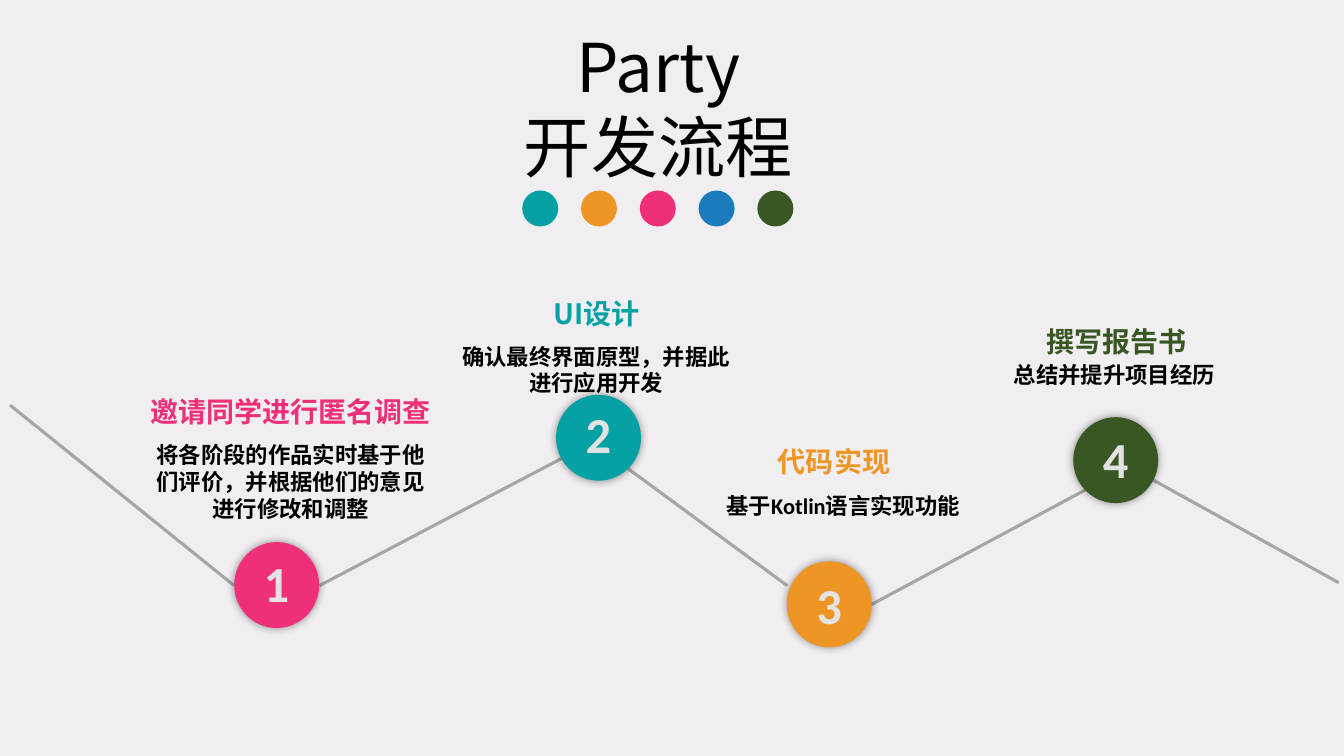
from lxml import etree
from pptx import Presentation
from pptx.dml.color import RGBColor
from pptx.enum import shapes as kinds, text as texts
from pptx.oxml import ns
from pptx.util import Pt

TEAL = RGBColor(0x03, 0xA1, 0xA4)
ORANGE = RGBColor(0xEE, 0x95, 0x24)
PINK = RGBColor(0xEF, 0x30, 0x78)
BLUE = RGBColor(0x1C, 0x7C, 0xBB)
GREEN = RGBColor(0x38, 0x57, 0x23)
GREY = RGBColor(0xA6, 0xA6, 0xA6)
PALE = RGBColor(0xE3, 0xE3, 0xE3)
BLACK = RGBColor(0, 0, 0)
PAPER = RGBColor(0xF0, 0xEE, 0xF0)
HAN, LATIN = "Noto Sans CJK SC", "Calibri"

TITLE = ["Party", "开发流程"]
DOTS = [TEAL, ORANGE, PINK, BLUE, GREEN]
# colour, circle (left, top), number top,
# heading, its (left, top), body, its (left, top), body height, body font
STEPS = [
    (PINK, (167.3, 387.2), 391,
     "邀请同学进行匿名调查", (98.6, 278.6),
     "将各阶段的作品实时基于他们评价，并根据他们的意见进行修改和调整",
     (98.6, 311.8), 46, HAN),
    (TEAL, (397.2, 282), 284.4,
     "UI设计", (316.8, 208.1),
     "确认最终界面原型，并据此进行应用开发", (316.8, 241.2), 46, HAN),
    (ORANGE, (562, 401), 406.8,
     "代码实现", (486.7, 313.9),
     "基于Kotlin语言实现功能", (493.2, 347.8), 26.6, LATIN),
    (GREEN, (766.6, 298), 302.4,
     "撰写报告书", (688.3, 228.2),
     "总结并提升项目经历", (686.9, 254.2), 26.6, LATIN),
]
PATHS = [
    (167.3, 418.3, 7.2, 289.4),
    (622.1, 432, 775.4, 349.9),
    (956.2, 416.2, 814.3, 337.7),
    (562.3, 418.3, 437, 326.2),
    (228.2, 418.3, 414.7, 320.4),
]
DISC = (60.7, 61.4)
DOT, PITCH = 25.7, 42
WIDE = 218.2


def effects(blur=0):
    """Effect list, with a centred soft shadow if blur is given."""
    node = etree.Element(ns.qn("a:effectLst"))
    if blur:
        soft = etree.SubElement(node, ns.qn("a:outerShdw"),
                                blurRad=str(Pt(blur)), dist="0", dir="0",
                                algn="ctr", rotWithShape="0")
        tone = etree.SubElement(soft, ns.qn("a:srgbClr"), val="000000")
        etree.SubElement(tone, ns.qn("a:alpha"), val="40000")
    return node


def write(home, box, lines, size, font, color, bold=True, blur=0, space=None):
    area = home.add_textbox(*map(Pt, box))
    frame = area.text_frame
    frame.word_wrap = True
    frame.auto_size = texts.MSO_AUTO_SIZE.SHAPE_TO_FIT_TEXT
    for i, line in enumerate(lines):
        para = frame.add_paragraph() if i else frame.paragraphs[0]
        para.alignment = texts.PP_ALIGN.CENTER
        if space:
            para.line_spacing = space
        run = para.add_run()
        run.text = line
        run.font.size, run.font.bold = Pt(size), bold
        run.font.color.rgb = color
        run.font.name = font
        props = run.font._element
        latin = props.find(ns.qn("a:latin"))
        latin.addnext(etree.Element(ns.qn("a:ea"), typeface=LATIN))
        if blur:
            latin.addprevious(effects(blur))


def disc(home, box, color, blur=0):
    oval = home.add_shape(kinds.MSO_SHAPE.OVAL, *map(Pt, box))
    oval.shadow.inherit = False
    oval.fill.solid()
    oval.fill.fore_color.rgb = color
    oval.line.fill.background()
    if blur:
        props = oval._element.spPr
        props.replace(props.find(ns.qn("a:effectLst")), effects(blur))


deck = Presentation()
deck.slide_width, deck.slide_height = Pt(960), Pt(540)
slide = deck.slides.add_slide(deck.slide_layouts[6])
slide.background.fill.solid()
slide.background.fill.fore_color.rgb = PAPER
items = slide.shapes

for ends in PATHS:
    line = items.add_connector(kinds.MSO_CONNECTOR.STRAIGHT, *map(Pt, ends))
    line.line.color.rgb = GREY
    line.line.width = Pt(2.25)
    line._element.spPr.append(effects())

write(items, (150.5, 14.4, 639.4, 123.8), TITLE, 48, HAN, BLACK, bold=False)
row = items.add_group_shape().shapes
for i, color in enumerate(DOTS):
    disc(row, (373 + i * PITCH, 136.1, DOT, DOT), color)

for i, (color, spot, top, *_) in enumerate(STEPS, 1):
    disc(items, (*spot, *DISC), color, blur=6)
    write(items, (spot[0] + 10.4, top, 39.6, 51.1), [str(i)], 36, LATIN,
          PALE, blur=3)

for color, _, _, head, spot, body, place, tall, font in STEPS:
    pair = items.add_group_shape().shapes
    write(pair, (*spot, WIDE, 31.7), [head], 20, HAN, color)
    write(pair, (*place, WIDE, tall), [body], 16, font, BLACK)

deck.save("out.pptx")
